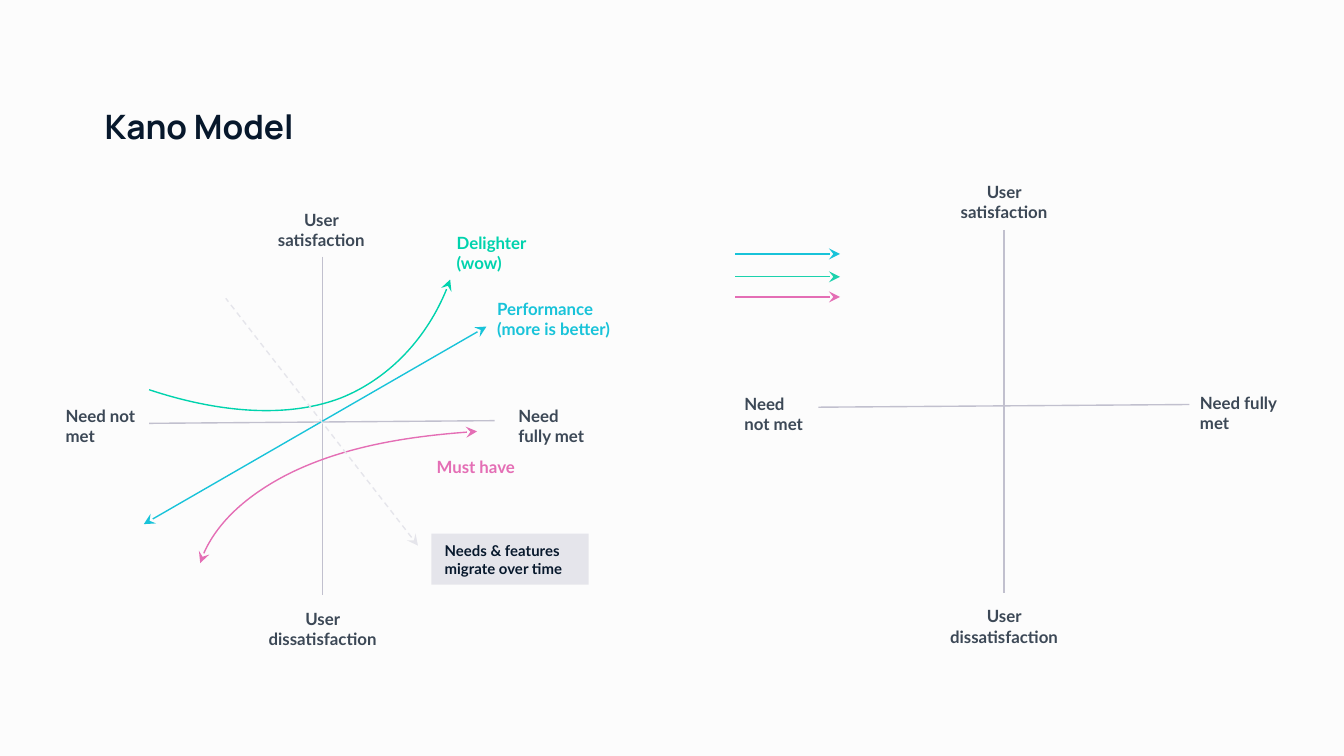
import pptx
import pptx.dml.color
import pptx.enum.dml
import pptx.enum.shapes
import pptx.enum.text
import pptx.oxml
import pptx.oxml.ns
import pptx.util
from pptx.util import Inches

COLORS = {
    "background": "FCFCFC", "ink": "07182C", "label": "3C4856",
    "axis": "C1C0CE", "pale": "E5E5EB", "delighter": "00D3AD",
    "legend green": "1CD2AD", "performance": "18C3D9", "must have": "E46EB5",
}
ALIGN = pptx.enum.text.PP_ALIGN
ANCHOR = pptx.enum.text.MSO_ANCHOR
CONNECTOR = pptx.enum.shapes.MSO_CONNECTOR


def rgb(name):
    return pptx.dml.color.RGBColor.from_string(COLORS[name])


def write(shape, text, color, size=9, font="Lato", align=ALIGN.LEFT,
          anchor=ANCHOR.TOP):
    frame = shape.text_frame
    frame.text = text
    frame.word_wrap = True
    frame.vertical_anchor = anchor
    frame.margin_left = frame.margin_right = Inches(0.1)
    frame.margin_top = frame.margin_bottom = Inches(0.1)
    para = frame.paragraphs[0]
    para.alignment = align
    span = para.runs[0]
    span.font.name = font
    span.font.size = pptx.util.Pt(size)
    span.font.bold = True
    span.font.color.rgb = rgb(color)


def add_text(parent, box, text, color, grow=False, **style):
    shape = parent.shapes.add_textbox(*map(Inches, box))
    write(shape, text, color, **style)
    if grow:
        shape.text_frame.auto_size = pptx.enum.text.MSO_AUTO_SIZE.SHAPE_TO_FIT_TEXT
    return shape


def style_line(shape, color, head=False, tail=False, dashed=False):
    shape.line.color.rgb = rgb(color)
    shape.line.width = pptx.util.Pt(0.75)
    if dashed:
        shape.line.dash_style = pptx.enum.dml.MSO_LINE.DASH
    line = shape.line._get_or_add_ln()
    for tag, wanted in (("a:headEnd", head), ("a:tailEnd", tail)):
        if wanted:
            end = pptx.oxml.parse_xml(
                f'<{tag} {pptx.oxml.ns.nsdecls("a")} type="stealth"/>')
            line.append(end)


def add_line(parent, start, end, color, kind=CONNECTOR.STRAIGHT, **ends):
    line = parent.shapes.add_connector(kind, *map(Inches, (*start, *end)))
    style_line(line, color, **ends)
    line._element.spPr.append(pptx.oxml.parse_xml(
        f'<a:effectLst {pptx.oxml.ns.nsdecls("a")}/>'))
    return line


def add_curve(parent, points, height, color, **ends):
    """Draw cubic curves: a start point, then three points per segment."""
    points = [tuple(map(Inches, point)) for point in points]
    builder = parent.shapes.build_freeform(*points[0])
    builder.add_line_segments(points[1:], close=False)
    curve = builder.convert_to_shape()
    curve.shadow.inherit = False
    curve.fill.background()
    style_line(curve, color, **ends)

    # Turn each three straight steps into one cubic segment
    outline = curve._element.find(".//" + pptx.oxml.ns.qn("a:path"))
    steps = outline.findall(pptx.oxml.ns.qn("a:lnTo"))
    for index in range(0, len(steps), 3):
        cubic = pptx.oxml.parse_xml(
            f'<a:cubicBezTo {pptx.oxml.ns.nsdecls("a")}/>')
        for step in steps[index:index + 3]:
            cubic.append(step[0])
            outline.remove(step)
        outline.append(cubic)

    # The frame holds the curve itself, not its control points
    curve.height = Inches(height)
    outline.set("h", str(curve.height))


def add_axes(parent, lines, box, vertical, horizontal, labels):
    """Place both axes in lines and the four end labels in parent."""
    left, top = box
    x, y_top, y_bottom = vertical
    start, end = horizontal
    upright = add_line(lines, (left + x, top + y_top),
                       (left + x, top + y_bottom), "axis")
    add_line(lines, (left + start[0], top + start[1]),
             (left + end[0], top + end[1]), "axis")
    texts = (("User satisfaction", ALIGN.CENTER),
             ("User dissatisfaction", ALIGN.CENTER),
             ("Need not met", ALIGN.LEFT), ("Need fully met", ALIGN.LEFT))
    shapes = [
        add_text(parent, (left + dx, top + dy, width, 0.5), text, "label",
                 grow=True, align=align)
        for (text, align), (dx, dy, width) in zip(texts, labels)]
    upright.end_connect(shapes[1], 0)


def add_kano_chart(page, box):
    left, top = box
    group = page.shapes.add_group_shape()

    def at(x, y):
        return left + x, top + y

    add_axes(group, group, box, (2.01, 0.45, 2.97),
             ((0.72, 1.69), (3.29, 1.67)),
             ((1.5, 0, 1), (1.47, 2.97, 1.08),
              (0, 1.46, 0.82), (3.37, 1.46, 0.73)))

    # Need curves
    add_curve(group, [at(0.72, 1.44), at(1.17, 1.59), at(1.71, 1.67),
                      at(2.15, 1.5), at(2.52, 1.35), at(2.83, 1),
                      at(2.96, 0.62)], 0.98, "delighter", tail=True)
    add_curve(group, [at(3.16, 1.75), at(2.7, 1.78), at(2.18, 1.86),
                      at(1.77, 2.06), at(1.43, 2.23), at(1.17, 2.49),
                      at(1.1, 2.73)], 0.98, "must have", head=True, tail=True)
    add_line(group, at(3.23, 0.97), at(0.68, 2.44), "performance",
             head=True, tail=True)
    add_line(group, at(2.72, 2.6), at(1.29, 0.76), "pale",
             head=True, dashed=True)

    # Curve names
    add_text(group, (*at(2.76, 1.93), 0.96, 0.16), "Must have", "must have",
             anchor=ANCHOR.MIDDLE)
    add_text(group, (*at(3.21, 0.66), 1.12, 0.38),
             "Performance (more is better)", "performance")
    add_text(group, (*at(2.91, 0.17), 0.87, 0.44), "Delighter (wow)",
             "delighter")

    # Migration note
    note = group.shapes.add_shape(
        pptx.enum.shapes.MSO_SHAPE.RECTANGLE,
        *map(Inches, (*at(2.82, 2.51), 1.17, 0.38)))
    note.shadow.inherit = False
    note.fill.solid()
    note.fill.fore_color.rgb = rgb("pale")
    note.line.fill.background()
    write(note, "Needs & features migrate over time", "ink", size=8,
          anchor=ANCHOR.MIDDLE)


def add_blank_chart(page, box):
    left, top = box
    add_axes(page, page.shapes.add_group_shape(), box, (2.03, 0.46, 3.16),
             ((0.65, 1.78), (3.41, 1.76)),
             ((1.49, 0, 1.08), (1.49, 3.16, 1.08),
              (0, 1.58, 0.65), (3.39, 1.57, 0.78)))

    # Spare arrows
    for dy, color in ((0.64, "performance"), (0.81, "legend green"),
                      (0.96, "must have")):
        add_line(page, (left + 0.03, top + dy), (left + 0.81, top + dy),
                 color, kind=CONNECTOR.CURVE, tail=True)


def main():
    deck = pptx.Presentation()
    deck.slide_width = Inches(10)
    deck.slide_height = deck.slide_width * 9 // 16
    page = deck.slides.add_slide(deck.slide_layouts[6])
    page.background.fill.solid()
    page.background.fill.fore_color.rgb = rgb("background")

    add_text(page, (0.68, 0.69, 4.3, 0.59), "Kano Model", "ink",
             size=18, font="Manrope")
    add_blank_chart(page, (5.44, 1.25))
    add_kano_chart(page, (0.39, 1.46))
    deck.save("out.pptx")


if __name__ == "__main__":
    main()
